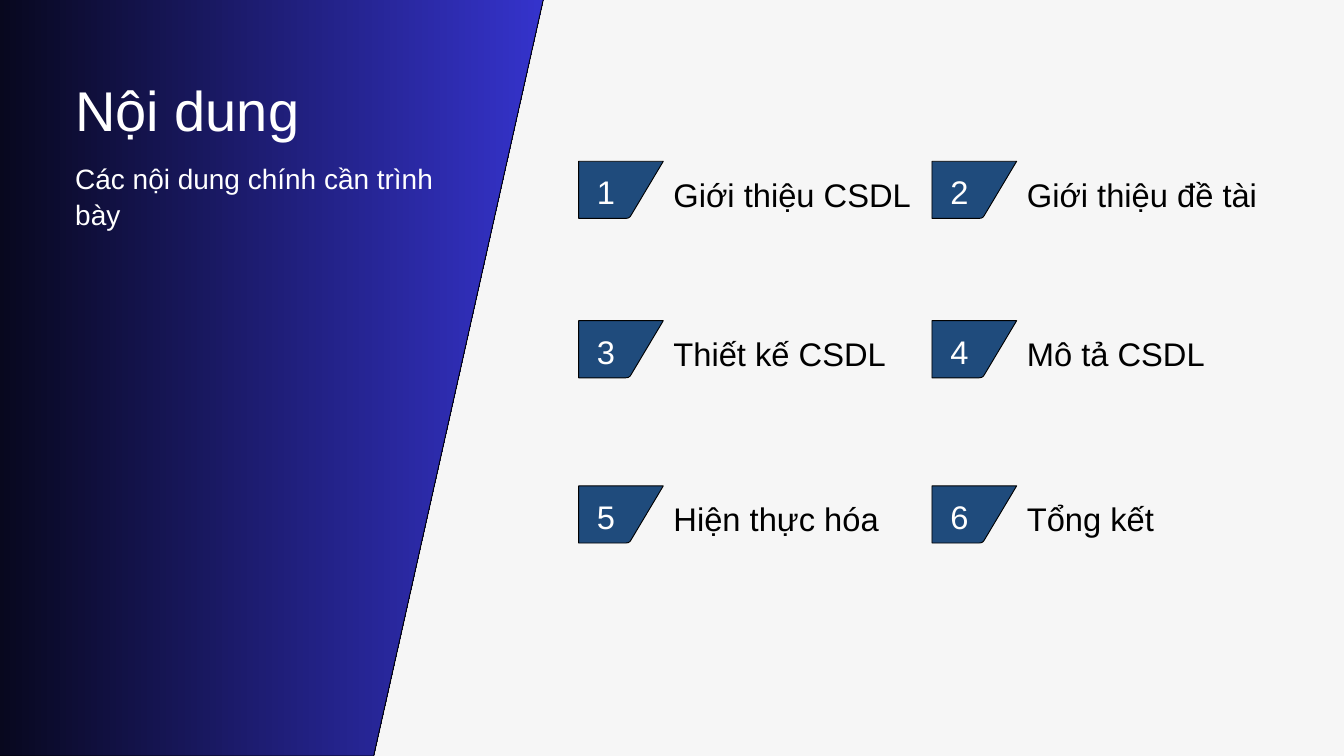
from pptx import Presentation
from pptx.dml.color import RGBColor
from pptx.enum.text import MSO_AUTO_SIZE as AutoSize, PP_ALIGN as Align
from pptx.util import Pt

PAPER = RGBColor(0xF6, 0xF6, 0xF6)
BLACK = RGBColor(0x00, 0x00, 0x00)
WHITE = RGBColor(0xFF, 0xFF, 0xFF)
NAVY = RGBColor(0x1F, 0x4B, 0x7C)
BLUE = RGBColor(0x35, 0x33, 0xCD)
FONT = "Arial"

WIDTH, HEIGHT = 1440, 810
ROW_TOPS = (172.8, 343.6, 520.6)
COLUMNS = ((620, 367.5), (998.6, 383.5))  # left, width
TOPICS = (
    ("Giới thiệu CSDL", "Giới thiệu đề tài"),
    ("Thiết kế CSDL", "Mô tả CSDL"),
    ("Hiện thực hóa", "Tổng kết"),
)
# Slanted tag with a softened lower right corner
TAG_OUTLINE = ((0, 0), (90.7, 0), (56.2, 57.8), (55, 59.6),
               (53.2, 60.8), (50.6, 61.2), (0, 61.2))


def add_text(page, text, left, top, width, height, size, spacing, color):
    box = page.shapes.add_textbox(Pt(left), Pt(top), Pt(width), Pt(height))
    frame = box.text_frame
    frame.margin_left = frame.margin_right = 0
    frame.margin_top = frame.margin_bottom = 0
    frame.word_wrap = True
    frame.auto_size = AutoSize.SHAPE_TO_FIT_TEXT
    para = frame.paragraphs[0]
    para.alignment = Align.LEFT
    para.line_spacing = Pt(spacing)
    span = para.add_run()
    span.text = text
    span.font.name = FONT
    span.font.size = Pt(size)
    span.font.color.rgb = color


def add_outline(page, points, left, top):
    """Draw a closed, black-edged polygon whose points are relative to left, top."""
    corners = [(Pt(left + x), Pt(top + y)) for x, y in points]
    builder = page.shapes.build_freeform(*corners[0])
    builder.add_line_segments(corners[1:], close=True)
    shape = builder.convert_to_shape()
    shape.shadow.inherit = False
    shape.line.color.rgb = BLACK
    shape.line.width = Pt(1)
    return shape


def add_title_panel(page, left, top, width, height):
    """Draw the slanted gradient panel, with the heading inside it."""
    slant = 185
    points = ((0, 0), (width, 0), (width - slant, height), (0, height))
    fill = add_outline(page, points, left, top).fill
    fill.gradient()
    fill.gradient_angle = 0
    for stop, position, color in zip(fill.gradient_stops, (0, 1), (BLACK, BLUE)):
        stop.position = position
        stop.color.rgb = color

    text_left, text_top = left + 183.6, top + 95.6
    add_text(page, "Nội dung", text_left, text_top, 384.5, 71.3, 60, 72, WHITE)
    add_text(page, "Các nội dung chính cần trình bày",
             text_left, text_top + 89.3, 384.5, 77, 30, 39, WHITE)


def add_topic(page, number, topic, left, top, width):
    tag = add_outline(page, TAG_OUTLINE, left, top)
    tag.fill.solid()
    tag.fill.fore_color.rgb = NAVY
    add_text(page, str(number), left + 19.6, top + 8.2, 45.4, 44, 35, 45.5, WHITE)
    label_offset = 101.6
    add_text(page, topic, left + label_offset, top + 10.8,
             width - label_offset, 44, 35, 45.5, BLACK)


def add_topic_grid(page):
    for row, (top, topics) in enumerate(zip(ROW_TOPS, TOPICS)):
        for column, ((left, width), topic) in enumerate(zip(COLUMNS, topics)):
            number = row * len(COLUMNS) + column + 1
            add_topic(page, number, topic, left, top, width)


def main():
    deck = Presentation()
    deck.slide_width, deck.slide_height = Pt(WIDTH), Pt(HEIGHT)
    page = deck.slides.add_slide(deck.slide_layouts[6])
    page.background.fill.solid()
    page.background.fill.fore_color.rgb = PAPER
    add_topic_grid(page)
    add_title_panel(page, -103, -15, 688.4, HEIGHT + 15)
    deck.save("out.pptx")


if __name__ == "__main__":
    main()
